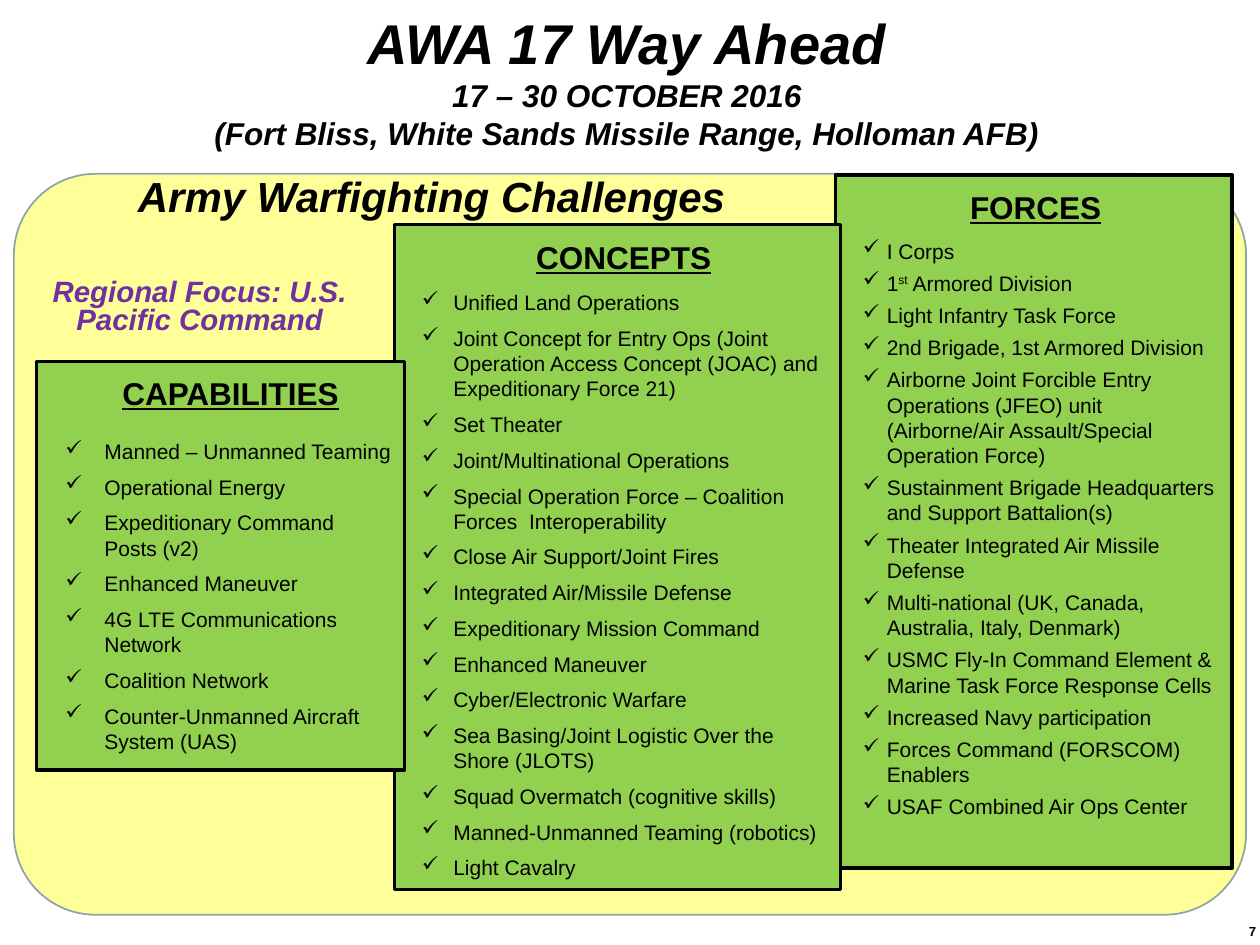
from dataclasses import dataclass
from typing import Any, Optional

import lxml.etree
import pptx
import pptx.dml.color
import pptx.enum.shapes
import pptx.enum.text
import pptx.oxml.ns
import pptx.util

WIDE, HIGH = 10, 7.5
COLS, ROWS = 100, 75
INK, GREEN, CREAM, EDGE, PLUM = "000000", "92D050", "FFFF99", "8AA6A8", "7030A0"
KIND = pptx.enum.shapes.MSO_SHAPE
MID = pptx.enum.text.MSO_ANCHOR.MIDDLE
TOP = pptx.enum.text.MSO_ANCHOR.TOP
ALIGN = pptx.enum.text.PP_ALIGN
HEAD = {"size": pptx.util.Pt(18), "bold": True, "underline": True}
SLANT = {"bold": True, "italic": True}


@dataclass
class Box:
    col: float
    row: float
    cols: float
    rows: float


@dataclass
class Panel:
    box: Box
    label: Box
    title: str
    drop: float
    left: float
    hang: float
    after: float
    items: list[str]


PANELS = [
    Panel(Box(66.3, 13.9, 31.5, 55), Box(73.7, 14.4, 17, 4), "FORCES", 5, 0.31, 0.19, 4, [
        "I Corps",
        "1^st^ Armored Division",
        "Light Infantry Task Force",
        "2nd Brigade, 1st Armored Division",
        "Airborne Joint Forcible Entry Operations (JFEO) unit "
        "(Airborne/Air Assault/Special Operation Force)",
        "Sustainment Brigade Headquarters and Support Battalion(s)",
        "Theater Integrated Air Missile Defense",
        "Multi-national (UK, Canada, Australia, Italy, Denmark)",
        "USMC Fly-In Command Element & Marine Task Force Response Cells",
        "Increased Navy participation",
        "Forces Command (FORSCOM) Enablers",
        "USAF Combined Air Ops Center",
    ]),
    Panel(Box(31.3, 17.8, 35.4, 52.8), Box(37.6, 18.4, 23.8, 4.3), "CONCEPTS", 5.2, 0.37, 0.25, 6, [
        "Unified Land Operations",
        "Joint Concept for Entry Ops (Joint Operation Access Concept (JOAC) "
        "and Expeditionary Force 21)",
        "Set Theater",
        "Joint/Multinational Operations",
        "Special Operation Force – Coalition Forces  Interoperability",
        "Close Air Support/Joint Fires",
        "Integrated Air/Missile Defense",
        "Expeditionary Mission Command",
        "Enhanced Maneuver",
        "Cyber/Electronic Warfare",
        "Sea Basing/Joint Logistic Over the Shore (JLOTS)",
        "Squad Overmatch (cognitive skills)",
        "Manned-Unmanned Teaming (robotics)",
        "Light Cavalry",
    ]),
    Panel(Box(2.9, 28.7, 29.2, 32.4), Box(6.7, 29.2, 23.2, 4), "CAPABILITIES", 6.1, 0.44, 0.31, 6, [
        "Manned – Unmanned Teaming",
        "Operational Energy",
        "Expeditionary Command Posts (v2)",
        "Enhanced Maneuver",
        "4G LTE Communications Network",
        "Coalition Network",
        "Counter-Unmanned Aircraft System (UAS)",
    ]),
]


def shade(code: str) -> pptx.dml.color.RGBColor:
    return pptx.dml.color.RGBColor.from_string(code)


def across(cols: float) -> int:
    return pptx.util.Inches(cols * WIDE / COLS)


def down(rows: float) -> int:
    return pptx.util.Inches(rows * HIGH / ROWS)


def place(box: Box) -> tuple[int, int, int, int]:
    return across(box.col), down(box.row), across(box.cols), down(box.rows)


def apply(thing: Any, form: dict) -> None:
    for key, value in form.items():
        setattr(thing, key, value)


def block(slide: Any, box: Box, fill: str, edge: Optional[str] = None,
          width: float = 1, kind: Any = KIND.RECTANGLE) -> Any:
    shape = slide.shapes.add_shape(kind, *place(box))
    shape.shadow.inherit = False
    shape.fill.solid()
    shape.fill.fore_color.rgb = shade(fill)
    if edge:
        shape.line.color.rgb = shade(edge)
        shape.line.width = pptx.util.Pt(width)
    else:
        shape.line.fill.background()
    return shape


def write(para: Any, text: str, font: dict, ink: str = INK) -> None:
    for place_no, part in enumerate(text.split("^")):
        run = para.add_run()
        run.text = part
        apply(run.font, {"name": "Arial", **font})
        run.font.color.rgb = shade(ink)
        if place_no % 2:
            run.font._element.set("baseline", "30000")


def fill_in(shape: Any, lines: list[tuple[str, dict]], frame: dict,
            form: dict, ink: str = INK) -> None:
    body = shape.text_frame
    apply(body, {"word_wrap": True, **frame})
    for order, (text, font) in enumerate(lines):
        para = body.add_paragraph() if order else body.paragraphs[0]
        apply(para, form)
        write(para, text, font, ink)


def label(slide: Any, box: Box, lines: list[tuple[str, dict]], ink: str = INK,
          frame: Optional[dict] = None, form: Optional[dict] = None) -> None:
    shape = slide.shapes.add_textbox(*place(box))
    fill_in(shape, lines, {"vertical_anchor": MID, **(frame or {})},
            {"alignment": ALIGN.CENTER, **(form or {})}, ink)


def tick(para: Any, left: float, hang: float) -> None:
    props = para._p.get_or_add_pPr()
    props.set("marL", str(pptx.util.Inches(left)))
    props.set("indent", str(-pptx.util.Inches(hang)))
    mark = lxml.etree.SubElement(props, pptx.oxml.ns.qn("a:buChar"))
    mark.set("char", "✓")


def panel(slide: Any, data: Panel) -> None:
    shape = block(slide, data.box, GREEN, INK, 2)
    font = {"size": pptx.util.Pt(12)}
    fill_in(shape, [(item, font) for item in data.items],
            {"vertical_anchor": TOP, "margin_top": down(data.drop)},
            {"alignment": ALIGN.LEFT, "space_after": pptx.util.Pt(data.after)})
    for para in shape.text_frame.paragraphs:
        tick(para, data.left, data.hang)
    head = block(slide, data.label, GREEN)
    fill_in(head, [(data.title, HEAD)], {"vertical_anchor": TOP},
            {"alignment": ALIGN.CENTER})


def main() -> None:
    deck = pptx.Presentation()
    apply(deck, {"slide_width": across(COLS), "slide_height": down(ROWS)})
    slide = deck.slides.add_slide(deck.slide_layouts[6])
    big, mid, small = ({"size": pptx.util.Pt(size), **SLANT} for size in (32, 24, 18))
    focus = {"size": pptx.util.Pt(16.8), **SLANT}

    back = block(slide, Box(1.1, 13.8, 97.8, 58.8), CREAM, EDGE, 1, KIND.ROUNDED_RECTANGLE)
    back.adjustments[0] = 0.11
    forces, *others = PANELS
    panel(slide, forces)
    label(slide, Box(2.8, 20.5, 26.1, 7.9),
          [("Regional Focus: U.S. Pacific Command", focus)], PLUM,
          form={"line_spacing": 0.8})
    for data in others:
        panel(slide, data)
    label(slide, Box(7.3, 11.6, 53.9, 7.9), [("Army Warfighting Challenges", mid)])
    label(slide, Box(8, 0.1, 83.5, 12.5), [
        ("AWA 17 Way Ahead", big),
        ("17 – 30 OCTOBER 2016", small),
        ("(Fort Bliss, White Sands Missile Range, Holloman AFB)", small),
    ])
    label(slide, Box(92.4, 72.8, 7.6, 2.2),
          [("7", {"size": pptx.util.Pt(7.5), "bold": True})],
          frame={"vertical_anchor": TOP, "margin_right": across(0.3)},
          form={"alignment": ALIGN.RIGHT})
    deck.save("out.pptx")


if __name__ == "__main__":
    main()
